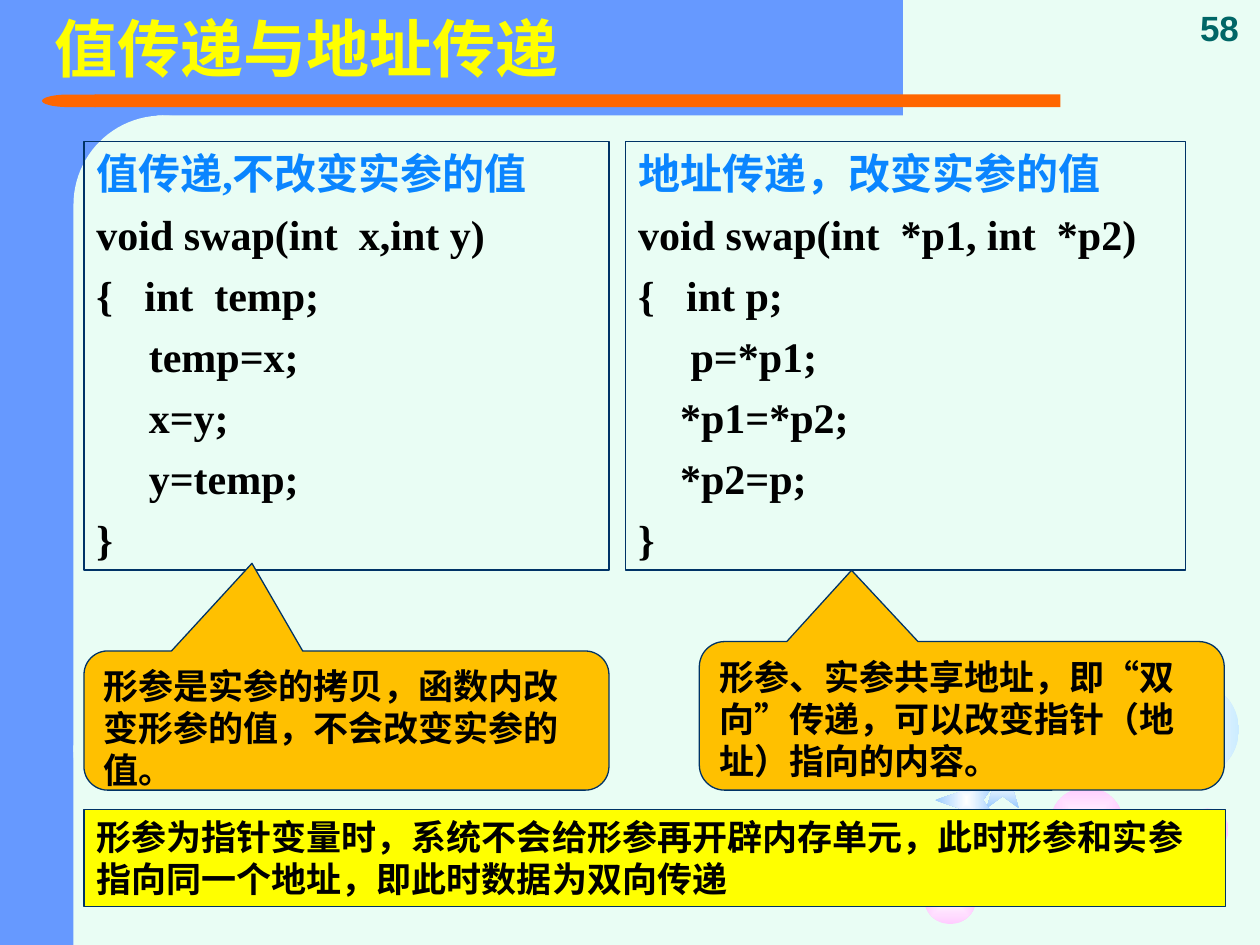
from lxml.etree import SubElement
from pptx import Presentation
from pptx.dml.color import RGBColor
from pptx.enum.shapes import MSO_SHAPE as Kind
from pptx.enum.text import MSO_ANCHOR, PP_ALIGN
from pptx.oxml.ns import qn
from pptx.util import Inches, Pt

COLORS = {
    "mint": "E9FDF4", "blue": "6699FF", "orange": "FF6600", "navy": "003366",
    "teal": "006666", "sky": "0A85FF", "amber": "FFC000", "yellow": "FFFF00",
    "black": "000000", "white": "FFFFFF", "pink": "FFCCFF", "ice": "CCECFF",
    "pale": "99CCFF",
}
HUES = {name: RGBColor.from_string(code) for name, code in COLORS.items()}
UNIT = Inches(1) / 12

deck = Presentation()
deck.slide_width, deck.slide_height = int(120 * UNIT), int(90 * UNIT)
slide = deck.slides.add_slide(deck.slide_layouts[6])
slide.background.fill.solid()
slide.background.fill.fore_color.rgb = HUES["mint"]


def block(kind, box, fill=None, line=None, turn=0, adjust=()):
    shape = slide.shapes.add_shape(kind, *[int(n * UNIT) for n in box])
    shape.shadow.inherit = False
    shape.rotation = turn
    for index, value in enumerate(adjust):
        shape.adjustments[index] = value
    if fill:
        shape.fill.solid()
        shape.fill.fore_color.rgb = HUES[fill]
    else:
        shape.fill.background()
    if line:
        shape.line.color.rgb = HUES[line]
        shape.line.width = Pt(0.75)
    else:
        shape.line.fill.background()
    return shape


def write(text, shape, size=20, font="Times New Roman", color="black", first=None,
          gap=0, lead=None, align=PP_ALIGN.LEFT, anchor=MSO_ANCHOR.TOP):
    frame = shape.text_frame
    frame.word_wrap = True
    frame.vertical_anchor = anchor
    for index, row in enumerate(text.split("\n")):
        para = frame.paragraphs[0] if index == 0 else frame.add_paragraph()
        para.alignment = align
        para.space_before = Pt(gap if index else 0)
        if lead:
            para.line_spacing = lead
        run = para.add_run()
        run.text = row
        run.font.name, run.font.size, run.font.bold = font, Pt(size), True
        run.font.color.rgb = HUES[first if first and index == 0 else color]


block(Kind.RECTANGLE, (0, 0, 15, 90), "blue")
block(Kind.RECTANGLE, (6, 0, 80, 11), "blue")
block(Kind.ROUNDED_RECTANGLE, (7, 11, 17, 69), "mint", adjust=[0.5])
block(Kind.RECTANGLE, (9, 9, 92, 1.2), "orange")
block(Kind.FLOWCHART_DELAY, (4, 9, 5.1, 1.2), "orange", turn=180)
block(Kind.RECTANGLE, (7, 71, 17, 19), "mint")

decor = [
    (Kind.OVAL, (100, 75, 7, 7), "pink", 0),
    (Kind.OVAL, (88, 83, 5, 5), "pink", 0),
    (Kind.OVAL, (113, 77, 4, 4), "pink", 0),
    (Kind.OVAL, (109, 65, 9, 9), "ice", 0),
    (Kind.STAR_5_POINT, (93, 72, 5, 5), "pale", 0),
    (Kind.STAR_5_POINT, (88.8, 73.2, 6.5, 6), "pale", 270),
]
for kind, box, edge, turn in decor:
    shape = block(kind, box, turn=turn)
    shape.fill.gradient()
    for stop, hue in zip(shape.fill.gradient_stops, ("white", edge)):
        stop.color.rgb = HUES[hue]
    grad = shape.element.spPr.find(qn("a:gradFill"))
    grad.remove(grad.find(qn("a:lin")))
    radial = SubElement(grad, qn("a:path"), {"path": "rect"})
    SubElement(radial, qn("a:fillToRect"), dict.fromkeys("ltrb", "50000"))

write("值传递与地址传递", block(Kind.RECTANGLE, (4, 0, 101, 10)), size=36,
      font="Arial", color="yellow", lead=0.9, anchor=MSO_ANCHOR.MIDDLE)
write("58", block(Kind.RECTANGLE, (112.3, 0, 7.7, 5.25)), font="Arial",
      color="teal", align=PP_ALIGN.CENTER, anchor=MSO_ANCHOR.BOTTOM)

value = """值传递,不改变实参的值
void swap(int  x,int y)
{   int  temp;
     temp=x;
     x=y;
     y=temp;
}"""
address = """地址传递，改变实参的值
void swap(int  *p1, int  *p2)
{   int p;
     p=*p1;
    *p1=*p2;
    *p2=p;
}"""
for left, wide, code in ((8, 50, value), (59.6, 53.3, address)):
    panel = block(Kind.RECTANGLE, (left, 13.5, wide, 40.8), line="navy")
    write(code, panel, size=24, first="sky", gap=6)

notes = [
    ((8, 62, 50, 13.25), (-0.18, -1.13, 0.17),
     "形参是实参的拷贝，函数内改变形参的值，不会改变实参的值。"),
    ((66.6, 61.1, 50, 14.15), (-0.21, -0.98, 0.17),
     "形参、实参共享地址，即“双向”传递，可以改变指针（地址）指向的内容。"),
]
for box, adjust, text in notes:
    write(text, block(Kind.ROUNDED_RECTANGULAR_CALLOUT, box, "amber", "navy",
                      adjust=adjust))

write("形参为指针变量时，系统不会给形参再开辟内存单元，此时形参和实参指向同一个地址，即此时数据为双向传递",
      block(Kind.RECTANGLE, (8, 77.1, 108.7, 9.25), "yellow", "navy"))

deck.save("out.pptx")
